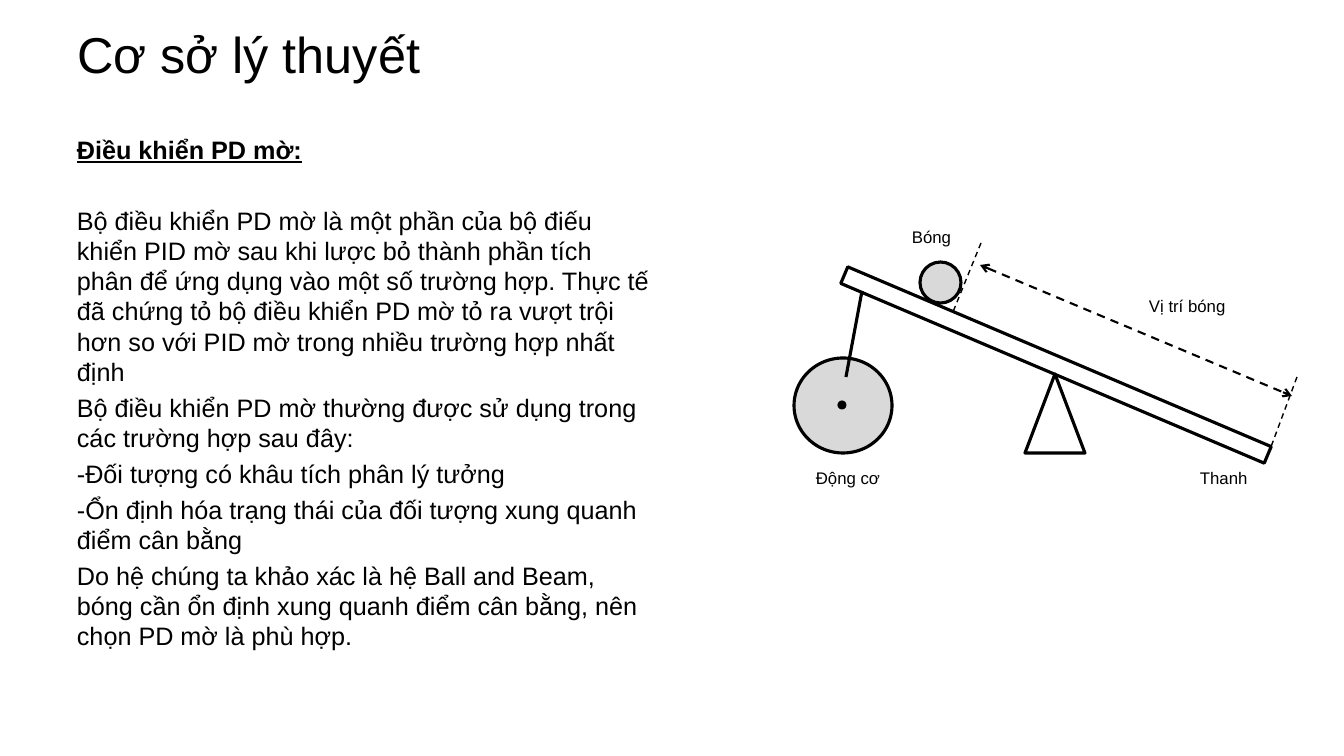
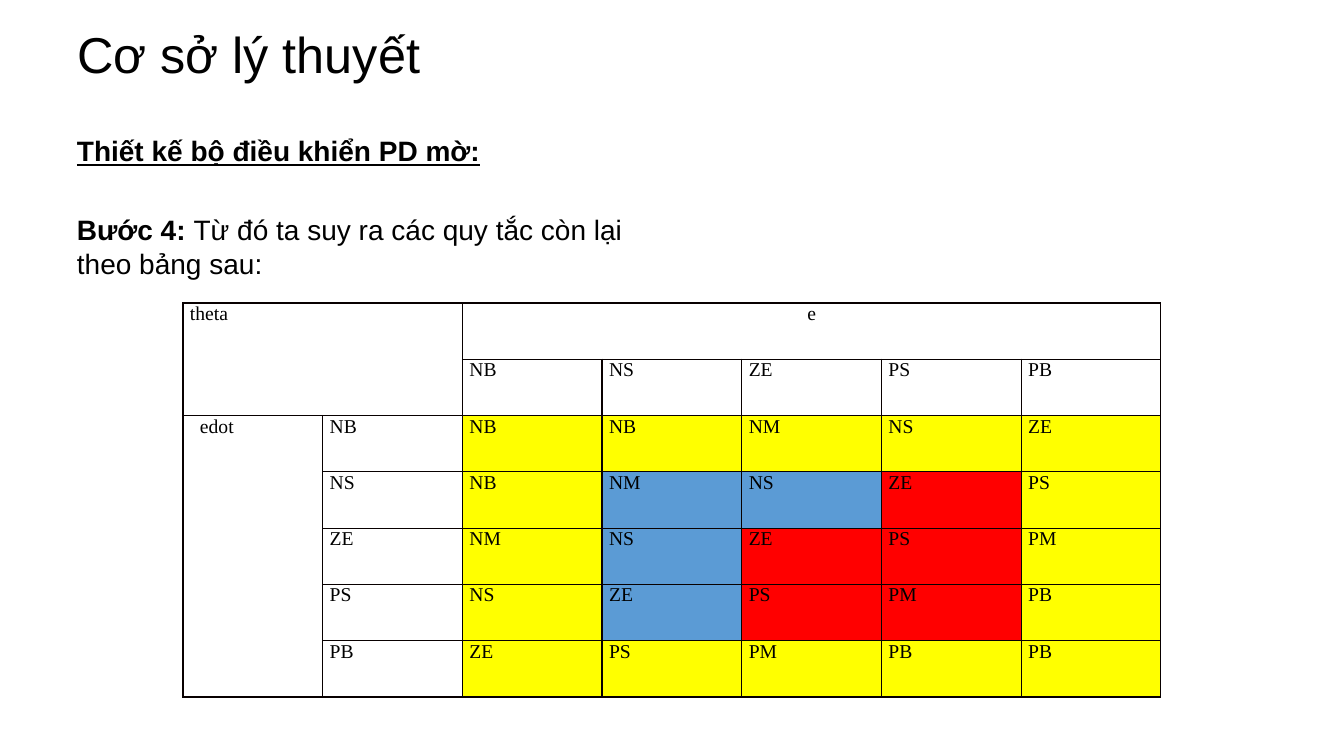
import pptx
import pptx.dml.color
import pptx.enum.dml
import pptx.enum.shapes
import pptx.enum.text
import pptx.oxml.ns
import pptx.util
from lxml import etree

PX = 9071
BLACK = pptx.dml.color.RGBColor(0x00, 0x00, 0x00)
GREY = pptx.dml.color.RGBColor(0xD9, 0xD9, 0xD9)
YELLOW = pptx.dml.color.RGBColor(0xFF, 0xFF, 0x00)
BLUE = pptx.dml.color.RGBColor(0x5B, 0x9B, 0xD5)
RED = pptx.dml.color.RGBColor(0xFF, 0x00, 0x00)
BORDER = pptx.dml.color.RGBColor(0x08, 0x00, 0x00)

SHAPE = pptx.enum.shapes.MSO_SHAPE
ALIGN = pptx.enum.text.PP_ALIGN
ANCHOR = pptx.enum.text.MSO_ANCHOR
DASH = pptx.enum.dml.MSO_LINE.DASH
STRAIGHT = pptx.enum.shapes.MSO_CONNECTOR.STRAIGHT
qn = pptx.oxml.ns.qn


def set_values(target, values):
    for name, value in values.items():
        setattr(target, name, value)


def add_run(paragraph, text, size, font_name="Arial", **values):
    run = paragraph.add_run()
    run.text = text
    set_values(run.font, {"size": pptx.util.Pt(size), "name": font_name, **values})
    run.font.color.rgb = BLACK


TITLE = "Cơ sở lý thuyết"
PAGES = [
    ("Điều khiển PD mờ:", 18, [
        [("Bộ điều khiển PD mờ là một phần của bộ điếu khiển PID mờ sau khi lược bỏ "
          "thành phần tích phân để ứng dụng vào một số trường hợp. Thực tế đã chứng tỏ "
          "bộ điều khiển PD mờ tỏ ra vượt trội hơn so với PID mờ trong nhiều trường hợp "
          "nhất định", False)],
        [("Bộ điều khiển PD mờ thường được sử dụng trong các trường hợp sau đây:", False)],
        [("-Đối tượng có khâu tích phân lý tưởng", False)],
        [("-Ổn định hóa trạng thái của đối tượng xung quanh điểm cân bằng", False)],
        [("Do hệ chúng ta khảo xác là hệ Ball and Beam, bóng cần ổn định xung quanh "
          "điểm cân bằng, nên chọn PD mờ là phù hợp.", False)],
    ]),
    ("Thiết kế bộ điều khiển PD mờ:", 20, [
        [("Bước 4: ", True), ("Từ đó ta suy ra các quy tắc còn lại theo bảng sau:", False)],
    ]),
]

presentation = pptx.Presentation()
set_values(presentation, {"slide_width": 1344 * PX, "slide_height": 756 * PX})

for heading, size, body in PAGES:
    slide = presentation.slides.add_slide(presentation.slide_layouts[5])
    title = slide.shapes.title
    set_values(title, {"left": 67 * PX, "top": 21 * PX, "width": 1210 * PX, "height": 65 * PX})
    set_values(title.text_frame, {
        "vertical_anchor": ANCHOR.MIDDLE,
        "auto_size": pptx.enum.text.MSO_AUTO_SIZE.NONE,
    })
    paragraph = title.text_frame.paragraphs[0]
    paragraph.alignment = ALIGN.LEFT
    add_run(paragraph, TITLE, 36)

    frame = slide.shapes.add_textbox(67 * PX, 129 * PX, 594 * PX, 546 * PX).text_frame
    frame.word_wrap = True
    paragraph = frame.paragraphs[0]
    paragraph.space_after = pptx.util.Pt(size * 1.4)
    add_run(paragraph, heading, size, bold=True, underline=True)
    for runs in body:
        paragraph = frame.add_paragraph()
        paragraph.space_before = pptx.util.Pt(size * 0.22)
        for text, bold in runs:
            add_run(paragraph, text, size, bold=bold)

diagram_slide, table_slide = presentation.slides

PARTS = [
    (SHAPE.ISOSCELES_TRIANGLE, 1025, 374, 60, 79, 0, None, 2.25),
    (SHAPE.RECTANGLE, 826, 356, 460, 18, 23, None, 2.25),
    (SHAPE.OVAL, 920, 262, 41, 41, 0, GREY, 2.25),
    (SHAPE.OVAL, 794, 358, 98, 95, 0, GREY, 2.25),
    (SHAPE.OVAL, 838, 401, 8, 8, 0, BLACK, 0.75),
]
for kind, left, top, width, height, rotation, fill, weight in PARTS:
    shape = diagram_slide.shapes.add_shape(kind, left * PX, top * PX, width * PX, height * PX)
    shape.shadow.inherit = False
    shape.rotation = rotation
    if fill is None:
        shape.fill.background()
    else:
        shape.fill.solid()
        shape.fill.fore_color.rgb = fill
    shape.line.color.rgb = BLACK
    shape.line.width = pptx.util.Pt(weight)

LINES = [
    (862, 291, 846, 377, 2.25, None, False),
    (980, 265, 1292, 396, 1.5, DASH, True),
    (981, 243, 953, 312, 1, DASH, False),
    (1297, 377, 1265, 463, 1, DASH, False),
]
for begin_x, begin_y, end_x, end_y, weight, dash, arrows in LINES:
    connector = diagram_slide.shapes.add_connector(
        STRAIGHT, begin_x * PX, begin_y * PX, end_x * PX, end_y * PX)
    connector.line.color.rgb = BLACK
    set_values(connector.line, {"width": pptx.util.Pt(weight), "dash_style": dash})
    properties = connector._element.spPr
    if arrows:
        for end in ("a:headEnd", "a:tailEnd"):
            etree.SubElement(properties.find(qn("a:ln")), qn(end), type="arrow")
    etree.SubElement(properties, qn("a:effectLst"))

LABELS = [
    ("Vị trí bóng", 1139, 291, 153, ALIGN.LEFT),
    ("Bóng", 892, 222, 79, ALIGN.CENTER),
    ("Thanh", 1190, 463, 86, ALIGN.LEFT),
    ("Động cơ", 806, 463, 90, ALIGN.LEFT),
]
for text, left, top, width, alignment in LABELS:
    frame = diagram_slide.shapes.add_textbox(left * PX, top * PX, width * PX, 30 * PX).text_frame
    frame.word_wrap = True
    frame.paragraphs[0].alignment = alignment
    add_run(frame.paragraphs[0], text, 12)

INPUTS = ["NB", "NS", "ZE", "PS", "PB"]
OUTPUTS = ["NB", "NB", "NM", "NS", "ZE", "PS", "PM", "PB", "PB"]
FILLS = {"Y": YELLOW, "B": BLUE, "R": RED}
RULE_FILLS = ["YYYYY", "YBBRY", "YBRRY", "YBRRY", "YYYYY"]

cell_texts = {(0, 0): "theta", (0, 2): "e", (2, 0): "edot"}
cell_fills = {}
for row, level in enumerate(INPUTS):
    cell_texts[1, row + 2] = level
    cell_texts[row + 2, 1] = level
    for column, letter in enumerate(RULE_FILLS[row]):
        cell_texts[row + 2, column + 2] = OUTPUTS[row + column]
        cell_fills[row + 2, column + 2] = FILLS[letter]

table = table_slide.shapes.add_table(7, 7, 183 * PX, 303 * PX, 978 * PX, 394 * PX).table
set_values(table, {"first_row": False, "horz_banding": False})
for first, last in [((0, 0), (1, 1)), ((0, 2), (0, 6)), ((2, 0), (6, 0))]:
    table.cell(*first).merge(table.cell(*last))

for row in range(7):
    for column in range(7):
        cell = table.cell(row, column)
        set_values(cell, {"margin_left": 7 * PX, "margin_right": 7 * PX,
                          "margin_top": 0, "margin_bottom": 0})
        for side in ("a:lnL", "a:lnR", "a:lnT", "a:lnB"):
            border = etree.SubElement(cell._tc.get_or_add_tcPr(), qn(side),
                                      w=str(pptx.util.Pt(1)))
            solid = etree.SubElement(border, qn("a:solidFill"))
            etree.SubElement(solid, qn("a:srgbClr"), val=str(BORDER))
        if (row, column) in cell_fills:
            cell.fill.solid()
            cell.fill.fore_color.rgb = cell_fills[row, column]
        else:
            cell.fill.background()
        if (row, column) in cell_texts:
            add_run(cell.text_frame.paragraphs[0], cell_texts[row, column], 14, "Times New Roman")

table.cell(0, 2).text_frame.paragraphs[0].alignment = ALIGN.CENTER
table.cell(2, 0).margin_left = 17 * PX

presentation.save("out.pptx")
